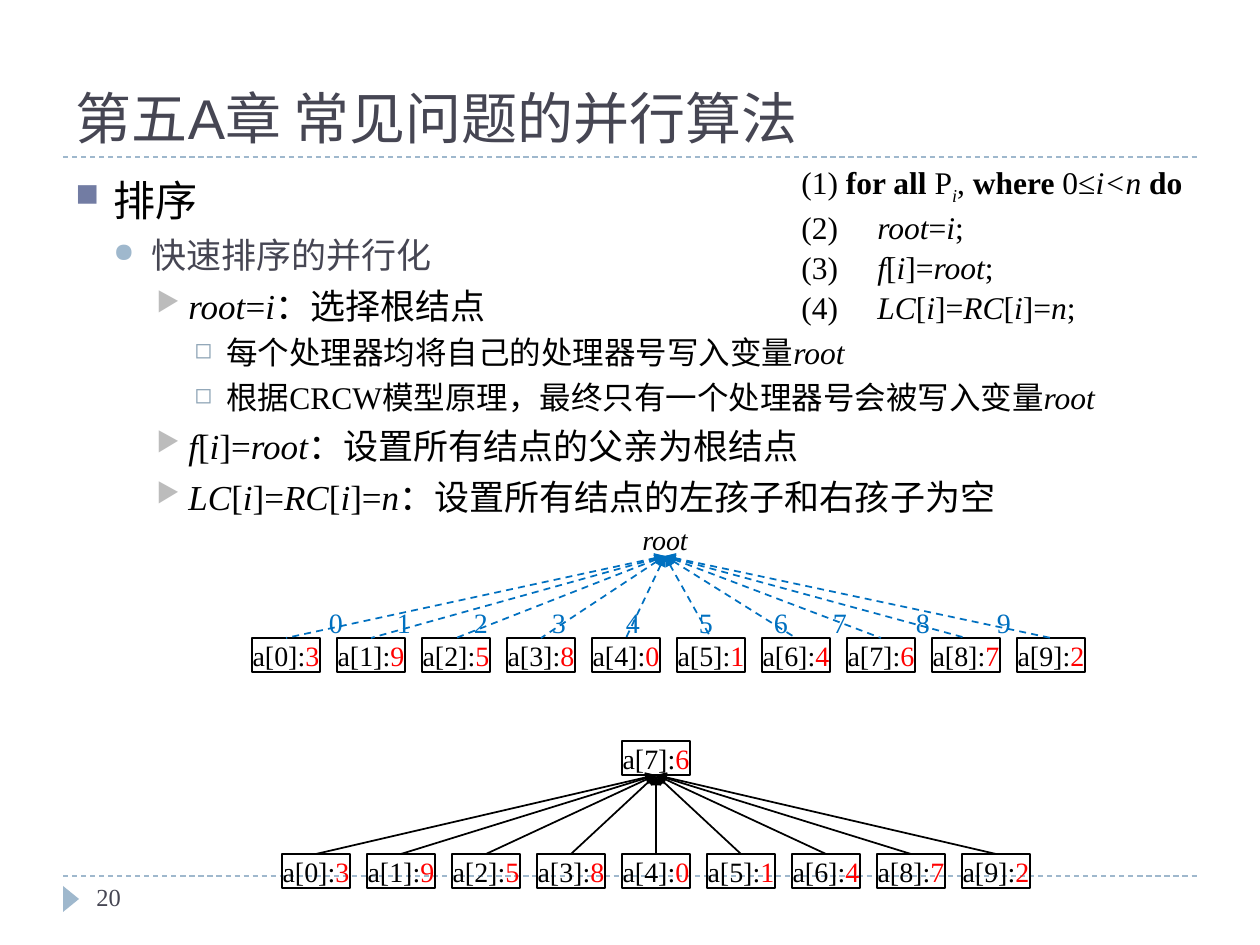
"""Build the slide on the parallel quicksort: choosing the root and setting every node's parent."""
from dataclasses import dataclass

from lxml.etree import SubElement
from pptx import Presentation
from pptx.dml.color import RGBColor
from pptx.enum.dml import MSO_LINE
from pptx.enum.shapes import MSO_CONNECTOR, MSO_SHAPE
from pptx.enum.text import MSO_ANCHOR, MSO_AUTO_SIZE, PP_ALIGN
from pptx.oxml.ns import qn
from pptx.util import Emu, Pt


@dataclass(frozen=True)
class Theme:
    title_font: str = "Arial"
    text_font: str = "Times New Roman"
    black: RGBColor = RGBColor(0, 0, 0)
    heading: RGBColor = RGBColor(0x46, 0x46, 0x53)
    rule: RGBColor = RGBColor(0x9F, 0xB8, 0xCD)
    value: RGBColor = RGBColor(0xFF, 0, 0)
    writing: RGBColor = RGBColor(0, 0x70, 0xC0)
    title_size: int = 32
    topic_size: int = 24
    point_size: int = 20
    detail_size: int = 18
    node_size: int = 16
    number_size: int = 14


theme = Theme()
PX = 914400 / 126


def write_text(shape, lines, size, color, align=PP_ALIGN.LEFT, inset=True):
    """Write lines whose runs are split by | and marked / italic, * bold, _ subscript, ! value."""
    frame = shape.text_frame
    frame.word_wrap = inset
    frame.auto_size = MSO_AUTO_SIZE.NONE
    if not inset:
        frame.margin_left = frame.margin_right = frame.margin_top = frame.margin_bottom = 0
    for index, line in enumerate(lines):
        para = frame.add_paragraph() if index else frame.paragraphs[0]
        para.alignment = align
        for part in line.split("|"):
            mark = part[0] if part[0] in "/*_!" else ""
            span = para.add_run()
            span.text = part[len(mark):]
            span.font.name = theme.text_font
            span.font.size = Pt(size)
            span.font.color.rgb = theme.value if mark == "!" else color
            span.font.bold = mark == "*"
            span.font.italic = mark in ("/", "_")
            if mark == "_":
                span.font._element.set("baseline", "-25000")


def add_line(x1, y1, x2, y2, color, width, dashed):
    """Add a straight connector without a shadow."""
    line = page.shapes.add_connector(
        MSO_CONNECTOR.STRAIGHT, *[Emu(round(n * PX)) for n in (x1, y1, x2, y2)])
    line.line.color.rgb = color
    line.line.width = Pt(width)
    if dashed:
        line.line.dash_style = MSO_LINE.DASH
    SubElement(line._element.spPr, qn("a:effectLst"))
    return line


deck = Presentation()
deck.slide_width = Emu(round(1260 * PX))
deck.slide_height = Emu(round(945 * PX))
page = deck.slides.add_slide(deck.slide_layouts[5])

for y in (876, 157):
    add_line(63, y, 1197, y, theme.rule, 0.75, True)
marker = page.shapes.add_shape(
    MSO_SHAPE.ISOSCELES_TRIANGLE, *[Emu(round(n * PX)) for n in (58, 891, 26, 16)])
marker.rotation = 90
marker.shadow.inherit = False
marker.fill.solid()
marker.fill.fore_color.rgb = theme.rule
marker.line.fill.background()

title = page.shapes.title
title.left, title.top, title.width, title.height = [
    Emu(round(n * PX)) for n in (63, 21, 1134, 136)]
title.text_frame.vertical_anchor = MSO_ANCHOR.BOTTOM
write_text(title, ["第五A章 常见问题的并行算法"], theme.title_size, theme.heading)
title.text_frame.paragraphs[0].runs[0].font.name = theme.title_font

outline = [
    (0, "排序"),
    (1, "快速排序的并行化"),
    (2, "/root|=|/i|：选择根结点"),
    (3, "每个处理器均将自己的处理器号写入变量|/root"),
    (3, "根据CRCW模型原理，最终只有一个处理器号会被写入变量|/root"),
    (2, "/f|[|/i|]=|/root|：设置所有结点的父亲为根结点"),
    (2, "/LC|[|/i|]=|/RC|[|/i|]=|/n|：设置所有结点的左孩子和右孩子为空"),
]
levels = [
    (38, 38, 6, "■", "727CA3", 76, theme.topic_size, theme.black),
    (76, 38, 5, "●", "9FB8CD", 76, theme.point_size, theme.heading),
    (113, 32, 5, "▶", "BCBCBC", 76, theme.point_size, theme.black),
    (151, 32, 4, "◻", "8BA2B4", 70, theme.detail_size, theme.black),
]
body = page.shapes.add_textbox(*[Emu(round(n * PX)) for n in (63, 168, 1134, 680)])
write_text(body, [line for level, line in outline], theme.point_size, theme.black)
for index, (level, line) in enumerate(outline):
    margin, hanging, before, bullet, bullet_color, bullet_size, size, color = levels[level]
    para = body.text_frame.paragraphs[index]
    para.level = level
    para.space_before = Pt(before if index else 0)
    props = para._p.get_or_add_pPr()
    props.set("marL", str(round(margin * PX)))
    props.set("indent", str(round(-hanging * PX)))
    SubElement(SubElement(props, qn("a:buClr")), qn("a:srgbClr"), val=bullet_color)
    SubElement(props, qn("a:buSzPct"), val=str(bullet_size * 1000))
    SubElement(props, qn("a:buChar"), char=bullet)
    for span in para.runs:
        span.font.size = Pt(size)
        span.font.color.rgb = color

number = page.shapes.add_textbox(*[Emu(round(n * PX)) for n in (84, 876, 273, 50)])
write_text(number, ["20"], theme.number_size, theme.heading)

code = page.shapes.add_textbox(*[Emu(round(n * PX)) for n in (789, 155, 436, 165)])
write_text(code, [
    "(1) |*for all| P|_i|, |*where| 0≤|/i<n |*do",
    "(2)\t|/root|=|/i|;",
    "(3)\t|/f|[|/i|]=|/root|;",
    "(4)\t|/LC|[|/i|]=|/RC|[|/i|]=|/n|;",
], theme.detail_size, theme.black)
for para in code.text_frame.paragraphs:
    para.line_spacing = 1.05
    tabs = SubElement(para._p.get_or_add_pPr(), qn("a:tabLst"))
    SubElement(tabs, qn("a:tab"), pos=str(round(76 * PX)), algn="l")

values = [3, 9, 5, 8, 0, 1, 4, 6, 7, 2]
nodes = [f"a[{index}]:|!{value}" for index, value in enumerate(values)]
trees = [
    (nodes[7], 622, 741, nodes[:7] + nodes[8:], 282, 854, theme.black, False),
    ("/root", 631, 522, nodes, 252, 638, theme.writing, True),
]
for root_text, root_x, root_y, children, left, top, color, dashed in trees:
    places = [(root_text, root_x, root_y)]
    places += [(child, left + 85 * index, top) for index, child in enumerate(children)]
    boxes = []
    for text, x, y in places:
        box = page.shapes.add_shape(
            MSO_SHAPE.RECTANGLE, *[Emu(round(n * PX)) for n in (x, y, 68, 34)])
        box.shadow.inherit = False
        box.fill.background()
        if text == "/root":
            box.line.fill.background()
        else:
            box.line.color.rgb = theme.black
            box.line.width = Pt(1)
        write_text(box, [text], theme.node_size, theme.black, PP_ALIGN.CENTER, False)
        boxes.append(box)
    for box in boxes[1:]:
        edge = add_line(0, 0, 1, 1, color, 1, dashed)
        edge.begin_connect(boxes[0], 2)
        edge.end_connect(box, 0)
        SubElement(edge.line._get_or_add_ln(), qn("a:headEnd"), type="triangle")

label_centers = [336, 404, 481, 559, 633, 706, 781, 840, 923, 1004]
for index, center in enumerate(label_centers):
    label = page.shapes.add_textbox(*[Emu(round(n * PX)) for n in (center - 19, 606, 38, 34)])
    write_text(label, [str(index)], theme.node_size, theme.writing, PP_ALIGN.CENTER, False)

deck.save("out.pptx")
